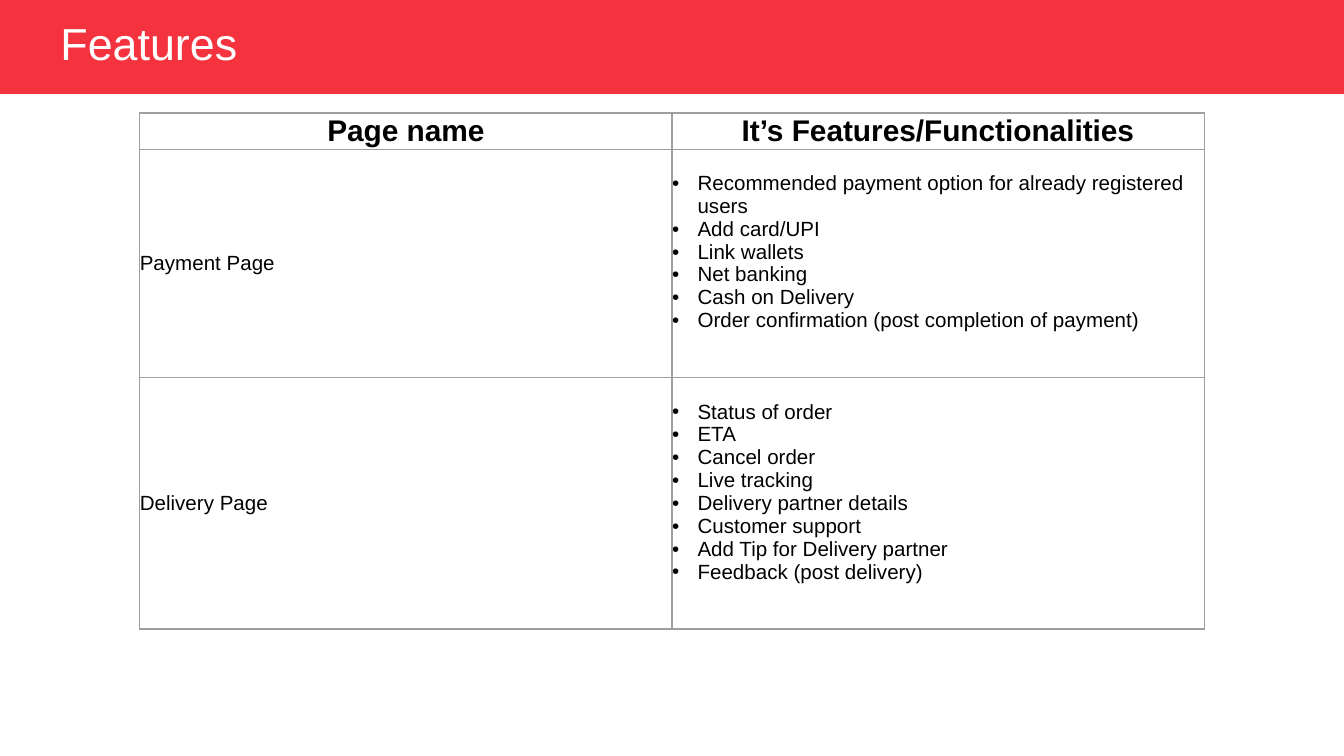
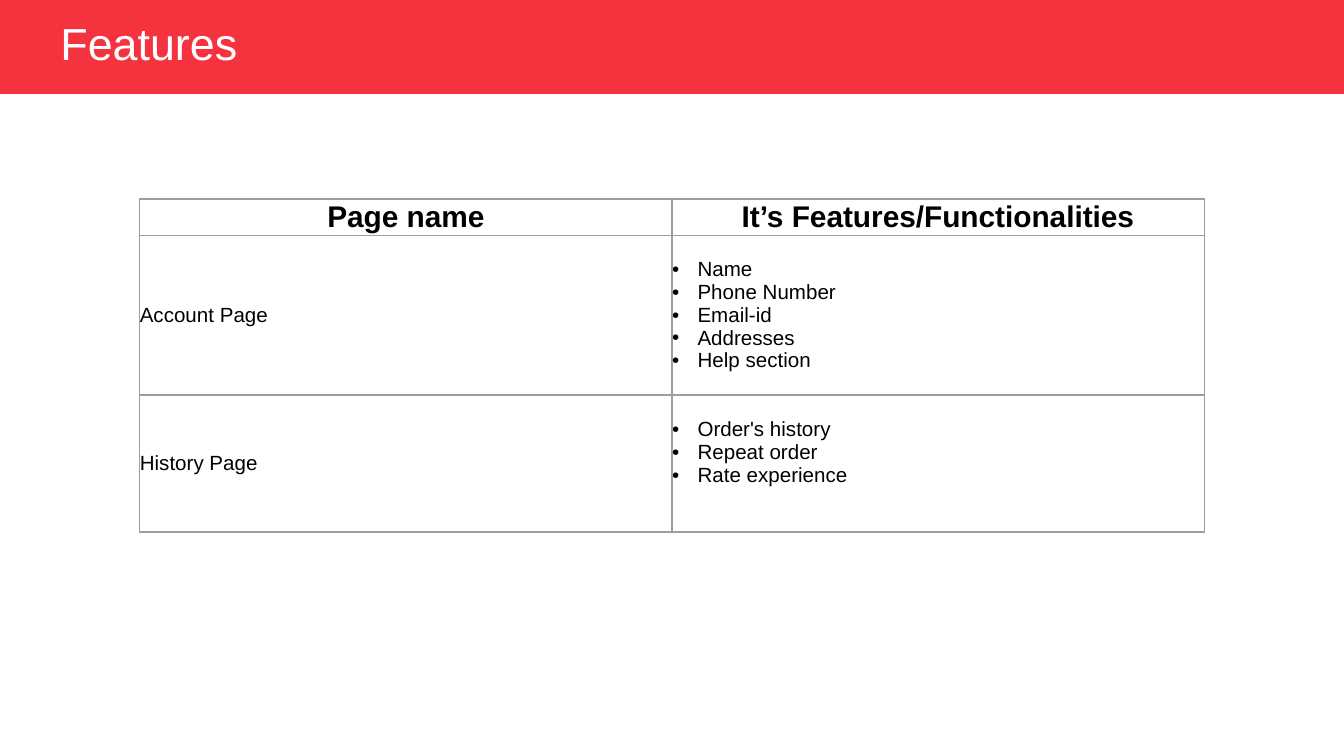
from lxml.etree import SubElement
from pptx import Presentation
from pptx.dml.color import RGBColor
from pptx.enum.shapes import MSO_SHAPE
from pptx.enum.text import MSO_ANCHOR, MSO_AUTO_SIZE, PP_ALIGN
from pptx.oxml.ns import qn
from pptx.util import Inches, Pt

TITLE = "Features"
HEADERS = ["Page name", "It’s Features/Functionalities"]
SLIDES = [
    {"top": 0.84, "rows": [
        ("Payment Page", 1.7, [
            "Recommended payment option for already registered users",
            "Add card/UPI",
            "Link wallets",
            "Net banking",
            "Cash on Delivery",
            "Order confirmation (post completion of payment)",
        ]),
        ("Delivery Page", 1.87, [
            "Status of order",
            "ETA",
            "Cancel order",
            "Live tracking",
            "Delivery partner details",
            "Customer support",
            "Add Tip for Delivery partner",
            "Feedback (post delivery)",
        ]),
    ]},
    {"top": 1.48, "rows": [
        ("Account Page", 1.19, [
            "Name",
            "Phone Number",
            "Email-id",
            "Addresses",
            "Help section",
        ]),
        ("History Page", 1.02, [
            "Order's history",
            "Repeat order",
            "Rate experience",
        ]),
    ]},
]

COLORS = {"band": "F5333F", "title": "FFFFFF", "text": "000000", "border": "9E9E9E"}
FONT = "Arial"
SLIDE_W, BAND_H = 10, 0.7
SLIDE_H = SLIDE_W * 9 / 16
TABLE_LEFT, COL_W, HEADER_H = 1.04, 3.96, 0.27
LIST_TOP, INDENT = 0.17, 0.19


def rgb(name):
    return RGBColor.from_string(COLORS[name])


def style(p, size, color="text", bold=False):
    for r in p.runs:
        r.font.name = FONT
        r.font.size = Pt(size)
        r.font.bold = bold
        r.font.color.rgb = rgb(color)


def add_header(s):
    band = s.shapes.add_shape(MSO_SHAPE.RECTANGLE, 0, 0, Inches(SLIDE_W), Inches(BAND_H))
    band.shadow.inherit = False
    band.fill.solid()
    band.fill.fore_color.rgb = rgb("band")
    band.line.fill.background()
    title = s.shapes.title
    band.element.addnext(title.element)
    title.left, title.top = Inches(0.35), Inches(0.13)
    title.width, title.height = Inches(4.09), Inches(0.42)
    tf = title.text_frame
    tf.text = TITLE
    tf.auto_size = MSO_AUTO_SIZE.NONE
    tf.vertical_anchor = MSO_ANCHOR.MIDDLE
    p = tf.paragraphs[0]
    p.alignment = PP_ALIGN.LEFT
    p.line_spacing = 0.9
    style(p, 24, "title")


def format_cell(cell):
    cell.margin_left = cell.margin_right = cell.margin_top = cell.margin_bottom = 0
    cell.vertical_anchor = MSO_ANCHOR.MIDDLE
    tc_pr = cell._tc.get_or_add_tcPr()
    for side in ("lnL", "lnR", "lnT", "lnB"):
        ln = SubElement(tc_pr, qn(f"a:{side}"), w=str(Pt(0.75)))
        fill = SubElement(ln, qn("a:solidFill"))
        SubElement(fill, qn("a:srgbClr"), val=COLORS["border"])
    cell.fill.background()


def add_bullet(p):
    p_pr = p._p.get_or_add_pPr()
    p_pr.set("marL", str(Inches(INDENT)))
    p_pr.set("indent", str(-Inches(INDENT)))
    color = SubElement(p_pr, qn("a:buClr"))
    SubElement(color, qn("a:srgbClr"), val=COLORS["text"])
    SubElement(p_pr, qn("a:buFont"), typeface=FONT)
    SubElement(p_pr, qn("a:buChar"), char="•")


def fill_features(cell, features):
    cell.vertical_anchor = MSO_ANCHOR.TOP
    cell.margin_top = Inches(LIST_TOP)
    tf = cell.text_frame
    for i, feature in enumerate(features):
        p = tf.add_paragraph() if i else tf.paragraphs[0]
        p.text = feature
        add_bullet(p)
        style(p, 11)


def add_features_table(s, top, rows):
    heights = [HEADER_H] + [height for _, height, _ in rows]
    table = s.shapes.add_table(
        len(heights), len(HEADERS), Inches(TABLE_LEFT), Inches(top),
        Inches(COL_W * len(HEADERS)), Inches(sum(heights))).table
    table.first_row = table.horz_banding = False
    for col in table.columns:
        col.width = Inches(COL_W)
    for row, height in zip(table.rows, heights):
        row.height = Inches(height)
    for cell in table.iter_cells():
        format_cell(cell)
    for c, header in enumerate(HEADERS):
        p = table.cell(0, c).text_frame.paragraphs[0]
        p.text = header
        p.alignment = PP_ALIGN.CENTER
        style(p, 16, bold=True)
    for i, (page, _, features) in enumerate(rows, 1):
        p = table.cell(i, 0).text_frame.paragraphs[0]
        p.text = page
        style(p, 11)
        fill_features(table.cell(i, 1), features)


def main():
    prs = Presentation()
    prs.slide_width, prs.slide_height = Inches(SLIDE_W), Inches(SLIDE_H)
    for content in SLIDES:
        s = prs.slides.add_slide(prs.slide_layouts[5])
        add_header(s)
        add_features_table(s, content["top"], content["rows"])
    prs.save("out.pptx")


if __name__ == "__main__":
    main()
